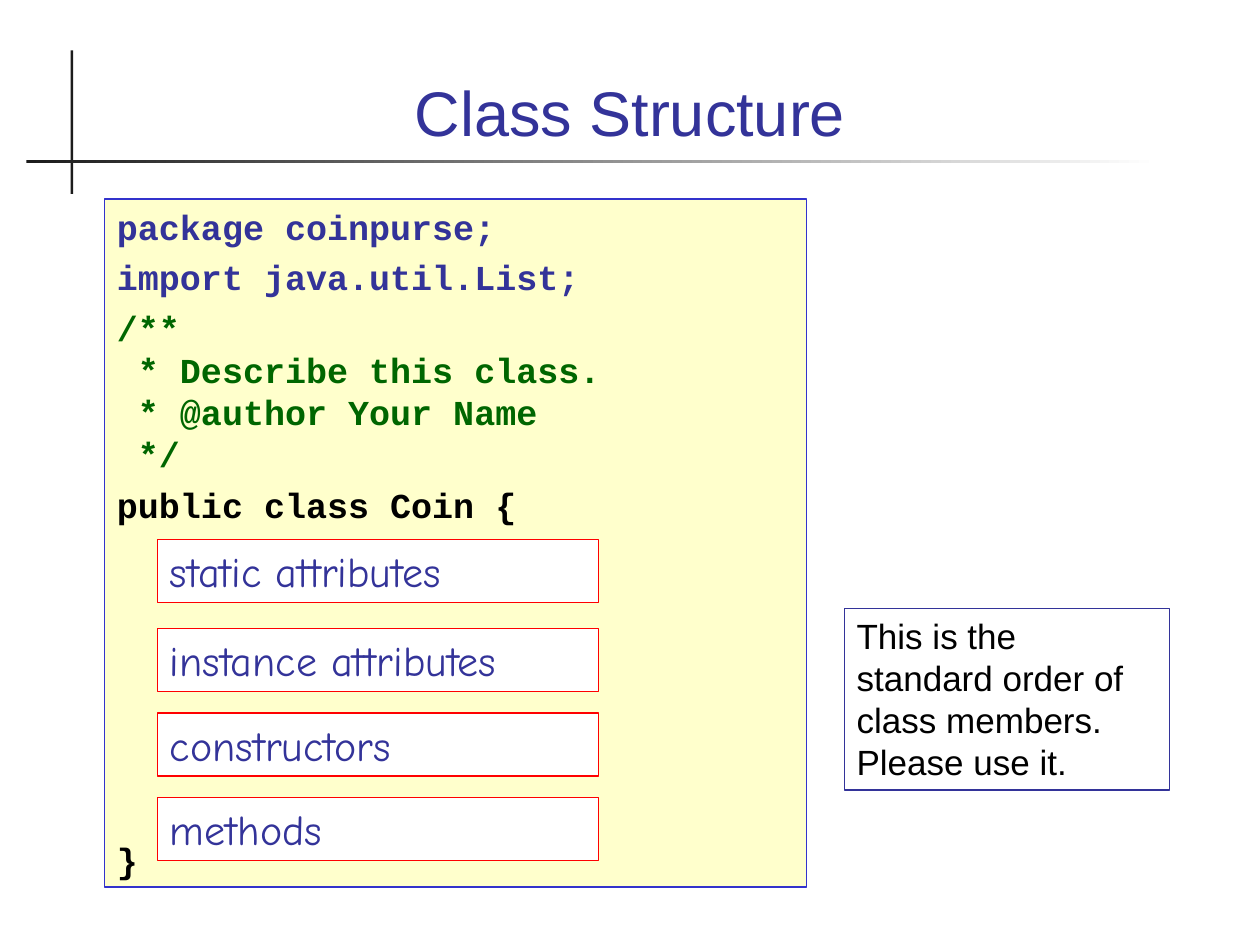
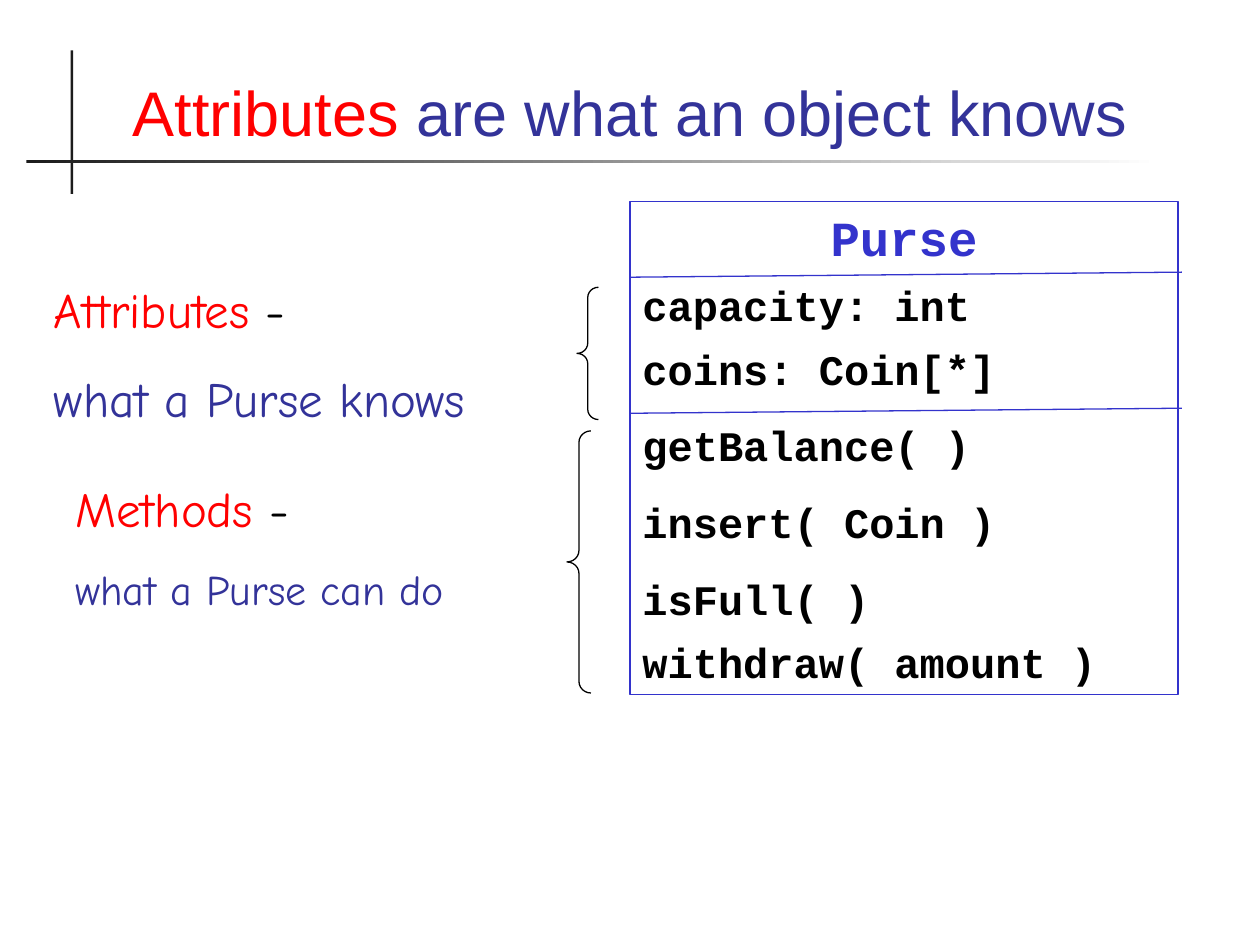
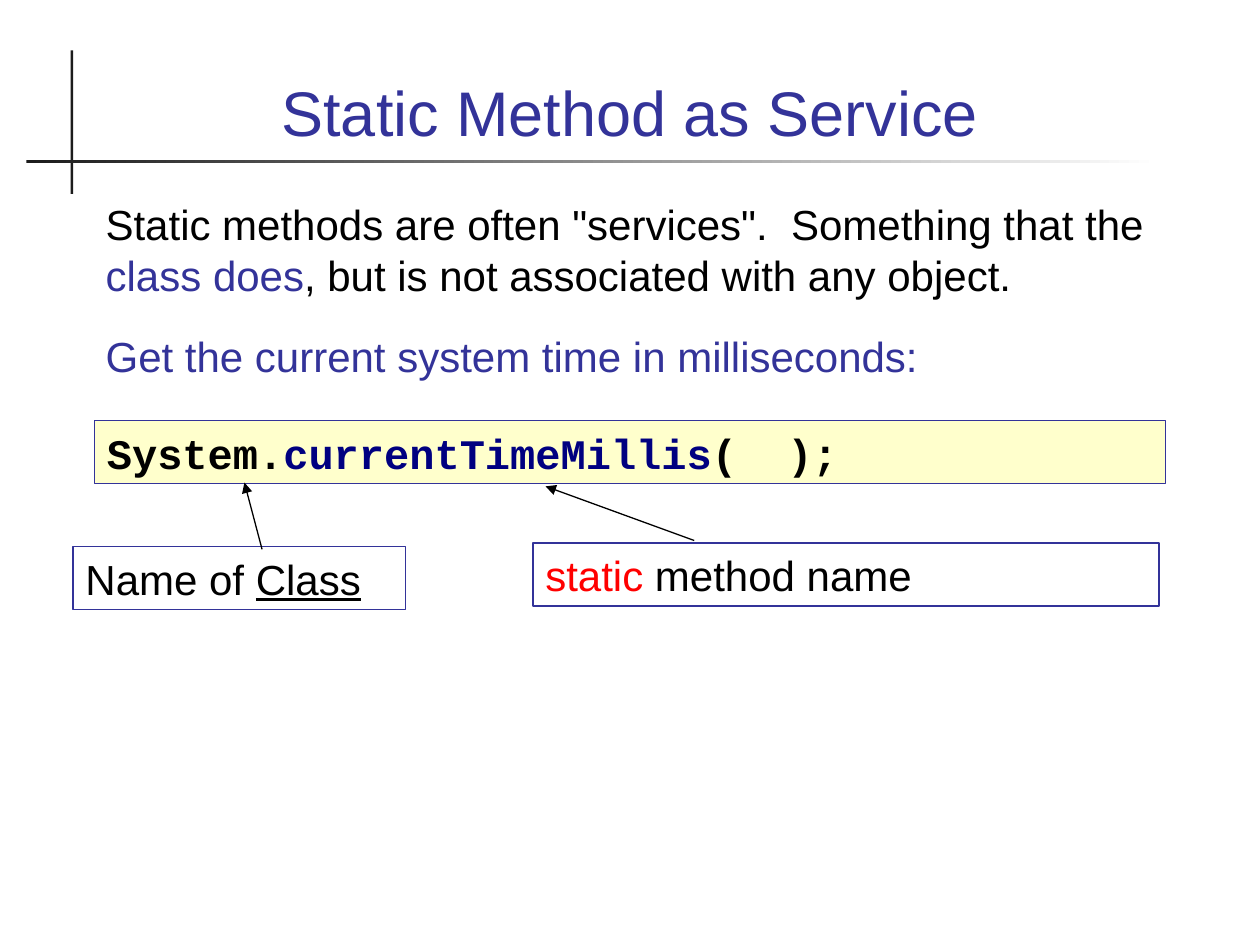
from dataclasses import dataclass
from typing import Optional

from lxml import etree
from pptx import Presentation
from pptx import util as u
from pptx.dml.color import RGBColor
from pptx.enum import shapes, text
from pptx.oxml.ns import qn

# Shared colours and fonts
INDIGO = RGBColor(0x33, 0x33, 0x99)
BLUE = RGBColor(0x33, 0x33, 0xCC)
NAVY = RGBColor(0x00, 0x00, 0x80)
RED = RGBColor(0xFF, 0x00, 0x00)
GREEN = RGBColor(0x00, 0x66, 0x00)
BLACK = RGBColor(0x00, 0x00, 0x00)
CHARCOAL = RGBColor(0x1C, 0x1C, 0x1C)
WHITE = RGBColor(0xFF, 0xFF, 0xFF)
CREAM = RGBColor(0xFF, 0xFF, 0xCC)
SANS, HAND, CODE = "Arial", "Comic Neue", "Courier New"
LINE_WIDTH = u.Pt(0.75)
LEADING = 1.2  # line pitch as a multiple of the text size


@dataclass
class Run:
    text: str
    color: RGBColor = BLACK
    underline: bool = False


@dataclass
class Para:
    runs: list[Run]
    size: float = 24
    font: str = SANS
    before: float = 0
    align: text.PP_ALIGN = text.PP_ALIGN.LEFT


@dataclass
class Box:
    left: float
    top: float
    width: float
    height: float
    paras: list[Para]
    fill: Optional[RGBColor] = None
    line: Optional[RGBColor] = None
    anchor: text.MSO_ANCHOR = text.MSO_ANCHOR.TOP


def para(words: str, color: RGBColor = BLACK, **style) -> Para:
    return Para([Run(words, color)], **style)


def write(tf, paras: list[Para]) -> None:
    for i, item in enumerate(paras):
        p = tf.paragraphs[0] if i == 0 else tf.add_paragraph()
        layout = {"alignment": item.align, "space_before": u.Pt(item.before),
                  "line_spacing": u.Pt(item.size * LEADING)}
        for name, value in layout.items():
            setattr(p, name, value)
        for run in item.runs:
            r = p.add_run()
            r.text = run.text
            style = {"name": item.font, "size": u.Pt(item.size),
                     "bold": item.font == CODE, "underline": run.underline}
            for name, value in style.items():
                setattr(r.font, name, value)
            r.font.color.rgb = run.color


def add_box(s, box: Box):
    frame = [u.Inches(v) for v in (box.left, box.top, box.width, box.height)]
    if box.fill is None and box.line is None:
        sp = s.shapes.add_textbox(*frame)
    else:
        sp = s.shapes.add_shape(shapes.MSO_SHAPE.RECTANGLE, *frame)
        sp.shadow.inherit = False
        if box.fill is None:
            sp.fill.background()
        else:
            sp.fill.solid()
            sp.fill.fore_color.rgb = box.fill
        if box.line is None:
            sp.line.fill.background()
        else:
            sp.line.color.rgb = box.line
            sp.line.width = LINE_WIDTH
    tf = sp.text_frame
    tf.word_wrap = True
    tf.vertical_anchor = box.anchor
    write(tf, box.paras)
    return sp


def add_line(s, x1: float, y1: float, x2: float, y2: float,
             color: RGBColor, arrow: bool = False) -> None:
    ends = [u.Inches(v) for v in (x1, y1, x2, y2)]
    cn = s.shapes.add_connector(shapes.MSO_CONNECTOR.STRAIGHT, *ends)
    cn.line.color.rgb = color
    cn.line.width = LINE_WIDTH
    if arrow:
        etree.SubElement(cn.line._get_or_add_ln(), qn("a:tailEnd"), type="triangle")
    etree.SubElement(cn._element.spPr, qn("a:effectLst"))


def add_brace(s, left: float, top: float, width: float, height: float) -> None:
    frame = [u.Inches(v) for v in (left, top, width, height)]
    sp = s.shapes.add_shape(shapes.MSO_SHAPE.LEFT_BRACE, *frame)
    sp.shadow.inherit = False
    sp.adjustments[0] = 0.48
    sp.fill.background()
    sp.line.color.rgb = BLACK
    sp.line.width = LINE_WIDTH


def new_slide(prs, title: list[Run]):
    """Blank slide with the crossed rules and the title."""
    s = prs.slides.add_slide(prs.slide_layouts[6])
    add_box(s, Box(0.56, 0.4, 0.02, 1.14, [], fill=CHARCOAL))
    rule = add_box(s, Box(0.21, 1.27, 8.99, 0.02, [], fill=CHARCOAL))
    rule.fill.gradient()
    rule.fill.gradient_angle = 0
    for stop, color, position in zip(rule.fill.gradient_stops, (CHARCOAL, WHITE), (0, 1)):
        stop.color.rgb = color
        stop.position = position
    heading = Para(title, size=36, align=text.PP_ALIGN.CENTER)
    add_box(s, Box(0.67, 0.28, 8.66, 0.95, [heading], anchor=text.MSO_ANCHOR.BOTTOM))
    return s


def class_structure(prs) -> None:
    s = new_slide(prs, [Run("Class Structure", INDIGO)])
    # Source listing: words, colour, space before
    listing = [
        ("package coinpurse;", INDIGO, 5),
        ("import java.util.List;", INDIGO, 5),
        ("/**", GREEN, 5),
        (" * Describe this class.", GREEN, 0),
        (" * @author Your Name", GREEN, 0),
        (" */", GREEN, 0),
        ("public class Coin {", BLACK, 5),
        ("}", BLACK, 179),
    ]
    code = [para(words, color, size=20, font=CODE, before=gap)
            for words, color, gap in listing]
    add_box(s, Box(0.83, 1.58, 5.57, 5.46, code, CREAM, BLUE))
    # Class members in order
    members = {"static attributes": 4.28, "instance attributes": 4.99,
               "constructors": 5.66, "methods": 6.33}
    for member, top in members.items():
        label = para(member, INDIGO, font=HAND, before=15)
        add_box(s, Box(1.25, top, 3.5, 0.5, [label], WHITE, RED))
    advice = para("This is the standard order of class members. Please use it.",
                  size=20, before=12.5)
    add_box(s, Box(6.7, 4.83, 2.58, 1.44, [advice], WHITE, INDIGO))


def attributes(prs) -> None:
    s = new_slide(prs, [Run("Attributes ", RED), Run("are what an object knows", INDIGO)])
    # Class diagram
    members = [("capacity: int", 7.5), ("coins: Coin[*]", 7.5), ("getBalance( )", 15),
               ("insert( Coin )", 15), ("isFull( )", 15), ("withdraw( amount )", 7.5)]
    name = para("Purse", BLUE, size=28, font=CODE, before=17.5, align=text.PP_ALIGN.CENTER)
    rows = [para(words, font=CODE, before=gap) for words, gap in members]
    add_box(s, Box(5, 1.6, 4.35, 3.91, [name, *rows], line=BLUE))
    for y in (2.2, 3.28):
        add_line(s, 5, y, 9.38, y - 0.04, BLUE)
    add_brace(s, 4.5, 3.42, 0.19, 2.08)
    add_brace(s, 4.58, 2.28, 0.17, 1.05)
    # Explanations beside the braces
    notes = [("Attributes", "what a Purse knows", 28, 17.5, (0.33, 2.17, 4.24, 1.28)),
             ("Methods", "what a Purse can do", 24, 15, (0.5, 3.75, 3.43, 1.18))]
    for term, meaning, size, gap, frame in notes:
        head = Para([Run(term, RED), Run(" -")], size=28, font=HAND, before=17.5)
        body = para(meaning, INDIGO, size=size, font=HAND, before=gap)
        add_box(s, Box(*frame, [head, body]))


def static_method(prs) -> None:
    s = new_slide(prs, [Run("Static Method as Service", INDIGO)])
    intro = Para([Run('Static methods are often "services".  Something that the '),
                  Run("class does", INDIGO),
                  Run(", but is not associated with any object.")], before=15)
    task = para("Get the current system time in milliseconds:", INDIGO, before=17.5)
    add_box(s, Box(0.74, 1.53, 8.66, 2.57, [intro, task]))
    # Call and its labelled parts
    call = Para([Run("System."), Run("currentTimeMillis", NAVY), Run("(  );")],
                font=CODE, before=15)
    add_box(s, Box(0.75, 3.34, 8.5, 0.5, [call], CREAM, INDIGO))
    class_label = Para([Run("Name of "), Run("Class", underline=True)], before=15)
    add_box(s, Box(0.58, 4.34, 2.64, 0.5, [class_label], line=INDIGO))
    add_line(s, 2.08, 4.36, 1.94, 3.83, BLACK, arrow=True)
    method_label = Para([Run("static", RED), Run(" method name")], before=15)
    add_box(s, Box(4.23, 4.31, 4.97, 0.5, [method_label], line=INDIGO))
    add_line(s, 5.51, 4.29, 4.33, 3.86, BLACK, arrow=True)


def main() -> None:
    prs = Presentation()
    prs.slide_width, prs.slide_height = u.Inches(10), u.Inches(7.5)
    for build in (class_structure, attributes, static_method):
        build(prs)
    prs.save("out.pptx")


if __name__ == "__main__":
    main()
